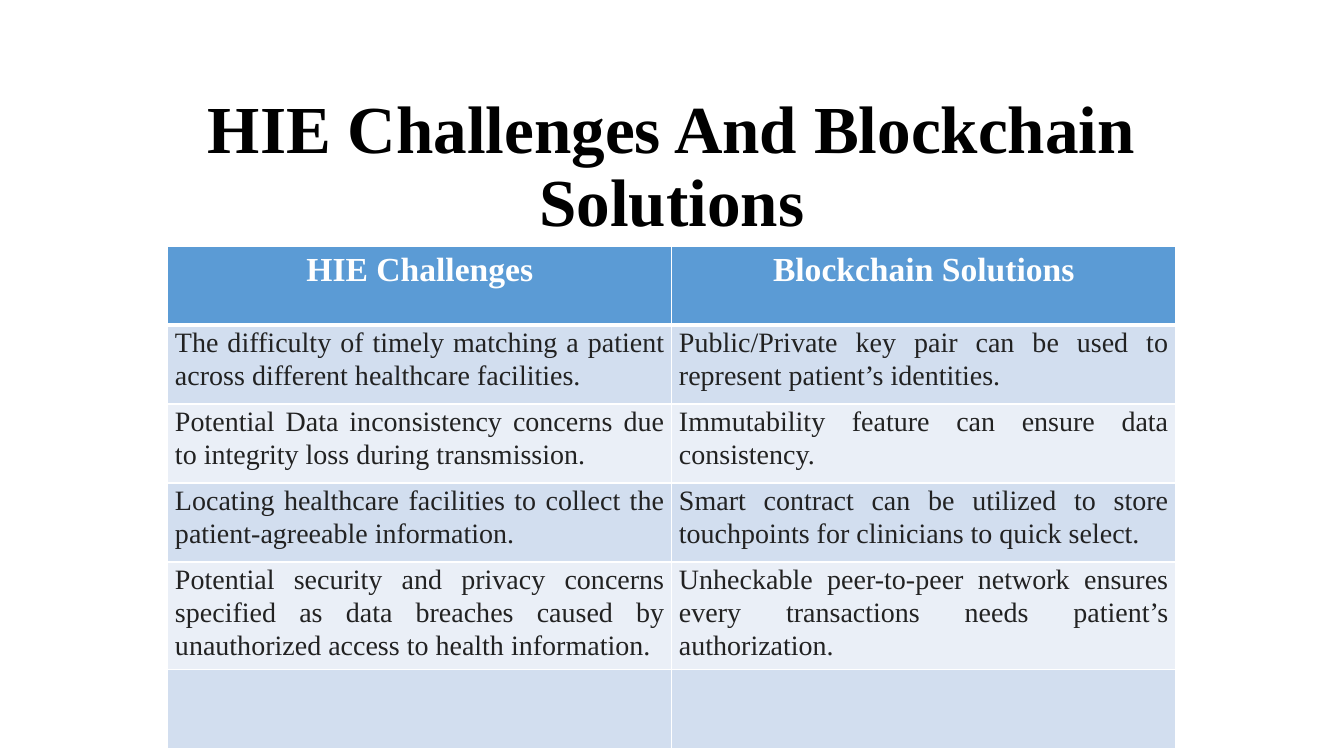
from lxml import etree
from pptx import Presentation
from pptx.dml.color import RGBColor
from pptx.enum.text import MSO_ANCHOR, PP_ALIGN
from pptx.oxml.ns import qn
from pptx.util import Cm, Pt

CENTER, JUSTIFY = PP_ALIGN.CENTER, PP_ALIGN.JUSTIFY
BOTTOM = MSO_ANCHOR.BOTTOM
FONT = "Times New Roman"
BLACK = RGBColor(0x00, 0x00, 0x00)
WHITE = RGBColor(0xFF, 0xFF, 0xFF)
INK = RGBColor(0x22, 0x22, 0x22)
BLUE = RGBColor(0x5B, 0x9B, 0xD5)
BANDS = (RGBColor(0xEA, 0xEF, 0xF7), RGBColor(0xD2, 0xDE, 0xEF))

TITLE = "HIE Challenges And Blockchain Solutions"
ROWS = [
    ("HIE Challenges", "Blockchain Solutions"),
    ("The difficulty of timely matching a patient across different healthcare facilities.",
     "Public/Private key pair can be used to represent patient’s identities."),
    ("Potential Data inconsistency concerns due to integrity loss during transmission.",
     "Immutability feature can ensure data consistency."),
    ("Locating healthcare facilities to collect the patient-agreeable information.",
     "Smart contract can be utilized to store touchpoints for clinicians to quick select."),
    ("Potential security and privacy concerns specified as data breaches caused by "
     "unauthorized access to health information.",
     "Unheckable peer-to-peer network ensures every transactions needs patient’s authorization."),
    ("", ""),
]


def write(tf, text, size, color, bold, align, spacing):
    """Fill a text frame with one formatted paragraph."""
    tf.text = text
    p = tf.paragraphs[0]
    p.alignment, p.line_spacing = align, spacing
    for r in p.runs:
        r.font.name, r.font.size, r.font.bold = FONT, Pt(size), bold
        r.font.color.rgb = color


def set_borders(cell, top, bottom):
    """Draw white cell borders, with top and bottom widths in points."""
    tcPr = cell._tc.get_or_add_tcPr()
    widths = {"a:lnL": 1, "a:lnR": 1, "a:lnT": top, "a:lnB": bottom}
    for i, (tag, width) in enumerate(widths.items()):
        ln = etree.Element(qn(tag), w=str(Pt(width)))
        fill = etree.SubElement(ln, qn("a:solidFill"))
        etree.SubElement(fill, qn("a:srgbClr"), val=str(WHITE))
        tcPr.insert(i, ln)


def add_title(s, left, top, width, height):
    """Place the slide title at the bottom of its box."""
    tf = s.shapes.add_textbox(left, top, width, height).text_frame
    tf.word_wrap = True
    tf.vertical_anchor = BOTTOM
    write(tf, TITLE, 48, BLACK, True, CENTER, 0.9)


def add_comparison(s, left, top, width, row_height):
    """Place the table of challenges and solutions."""
    table = s.shapes.add_table(len(ROWS), 2, left, top, width, row_height * len(ROWS)).table
    for i, texts in enumerate(ROWS):
        for j, text in enumerate(texts):
            cell = table.cell(i, j)
            cell.fill.solid()
            cell.fill.fore_color.rgb = BANDS[i % 2] if i else BLUE
            set_borders(cell, 3 if i == 1 else 1, 1 if i else 3)
            if i == 0:
                write(cell.text_frame, text, 24, WHITE, True, CENTER, 1.0)
            elif text:
                cell.margin_left = cell.margin_right = Cm(0.18)
                cell.margin_top = cell.margin_bottom = 0
                write(cell.text_frame, text, 20, INK, False, JUSTIFY, 1.07)


def main():
    """Build and save the slide."""
    prs = Presentation()
    prs.slide_width, prs.slide_height = Cm(33.87), Cm(19.05)
    s = prs.slides.add_slide(prs.slide_layouts[6])
    left, width = Cm(4.23), Cm(25.4)
    add_title(s, left, Cm(1.35), width, Cm(4.85))
    add_comparison(s, left, Cm(6.2), width, Cm(1.99))
    prs.save("out.pptx")


main()
